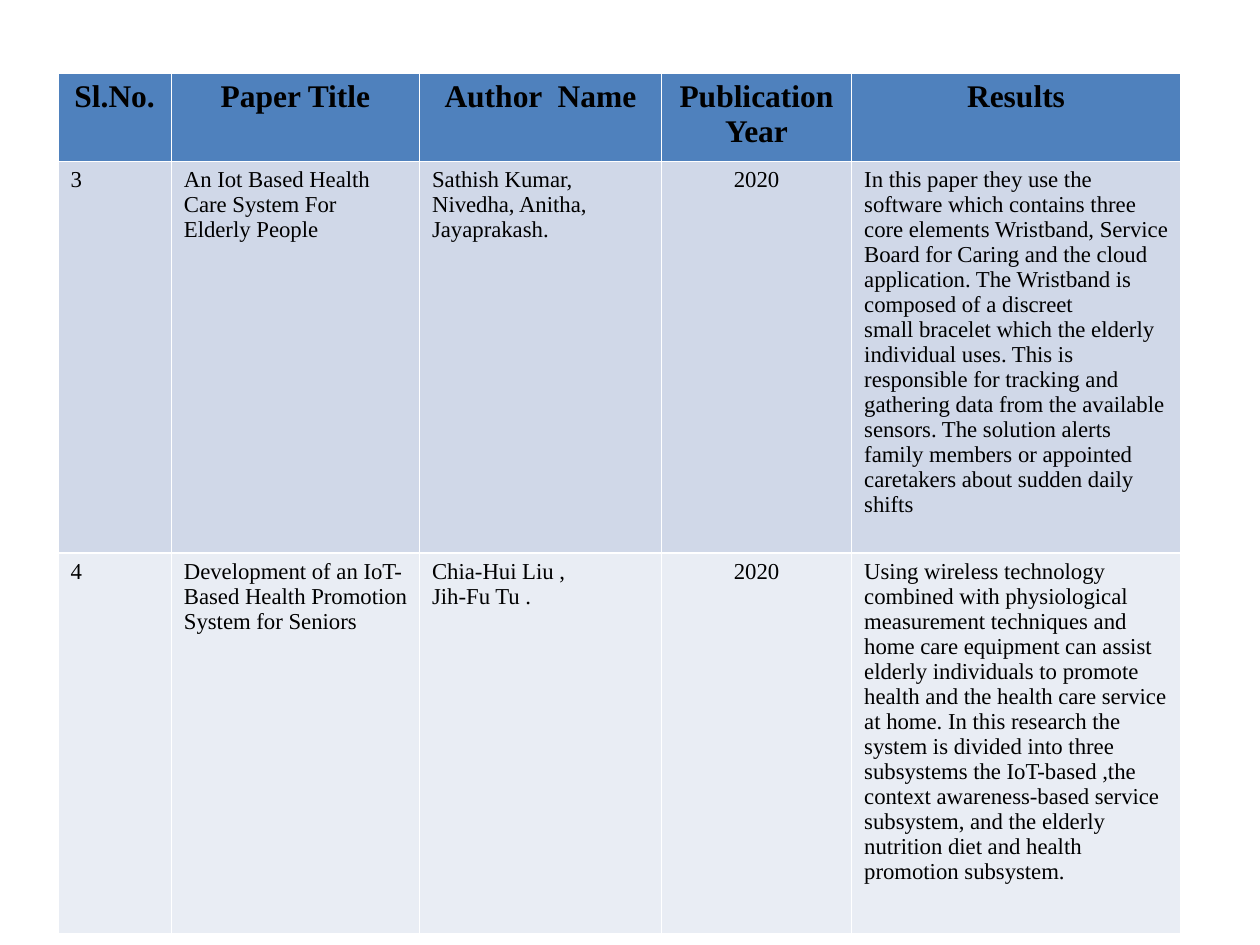
from dataclasses import dataclass

from pptx import Presentation
from pptx.dml.color import RGBColor
from pptx.enum.text import PP_ALIGN
from pptx.util import Inches, Pt

HEADINGS = ["Sl.No.", "Paper Title", "Author  Name", "Publication Year", "Results"]
PAPERS = [
    [
        ["3"],
        ["An Iot Based Health Care System For Elderly People"],
        ["Sathish Kumar, Nivedha, Anitha, Jayaprakash."],
        ["2020"],
        [
            "In this paper they use the software which contains three core elements "
            "Wristband, Service Board for Caring and the cloud application. The "
            "Wristband is composed of a discreet ",
            "small bracelet which the elderly individual uses. This is responsible "
            "for tracking and ",
            "gathering data from the available sensors. The solution alerts family "
            "members or appointed caretakers about sudden daily shifts",
        ],
    ],
    [
        ["4"],
        ["Development of an IoT-Based Health Promotion", "System for Seniors"],
        ["Chia-Hui Liu , ", "Jih-Fu Tu ."],
        ["2020"],
        [
            "Using wireless technology combined with physiological measurement "
            "techniques and home care equipment can assist elderly individuals to "
            "promote health and the health care service at home. In this research "
            "the system is divided into three subsystems the IoT-based ,the context "
            "awareness-based service subsystem, and the elderly nutrition diet and "
            "health promotion subsystem. "
        ],
    ],
]
COLUMN_WIDTHS = [0.9, 1.97, 1.92, 1.51, 2.61]
ROW_HEIGHTS = [0.7, 3.11, 3.02]
TABLE_LEFT, TABLE_TOP = 0.46, 0.58
YEAR_COLUMN = HEADINGS.index("Publication Year")


@dataclass(frozen=True)
class Theme:
    font: str = "Times New Roman"
    text: str = "000000"
    header_fill: str = "4F81BD"
    band_fills: tuple = ("D0D8E8", "E9EDF4")
    header_size: int = 18
    body_size: int = 13


THEME = Theme()


def fill_cell(cell, lines, fill, size, bold, centred):
    cell.fill.solid()
    cell.fill.fore_color.rgb = RGBColor.from_string(fill)
    frame = cell.text_frame
    for index, line in enumerate(lines):
        paragraph = frame.add_paragraph() if index else frame.paragraphs[0]
        paragraph.alignment = PP_ALIGN.CENTER if centred else PP_ALIGN.LEFT
        run = paragraph.add_run()
        run.text = line
        run.font.name = THEME.font
        run.font.size = Pt(size)
        run.font.bold = bold
        run.font.color.rgb = RGBColor.from_string(THEME.text)


presentation = Presentation()
presentation.slide_width = Inches(10)
presentation.slide_height = Inches(7.5)
slide = presentation.slides.add_slide(presentation.slide_layouts[6])

table = slide.shapes.add_table(
    len(ROW_HEIGHTS),
    len(COLUMN_WIDTHS),
    Inches(TABLE_LEFT),
    Inches(TABLE_TOP),
    Inches(sum(COLUMN_WIDTHS)),
    Inches(sum(ROW_HEIGHTS)),
).table
for column, width in zip(table.columns, COLUMN_WIDTHS):
    column.width = Inches(width)
for row, height in zip(table.rows, ROW_HEIGHTS):
    row.height = Inches(height)

for column, heading in enumerate(HEADINGS):
    fill_cell(table.cell(0, column), [heading], THEME.header_fill,
              THEME.header_size, True, True)
for row, (paper, fill) in enumerate(zip(PAPERS, THEME.band_fills), start=1):
    for column, lines in enumerate(paper):
        fill_cell(table.cell(row, column), lines, fill,
                  THEME.body_size, False, column == YEAR_COLUMN)

presentation.save("out.pptx")
